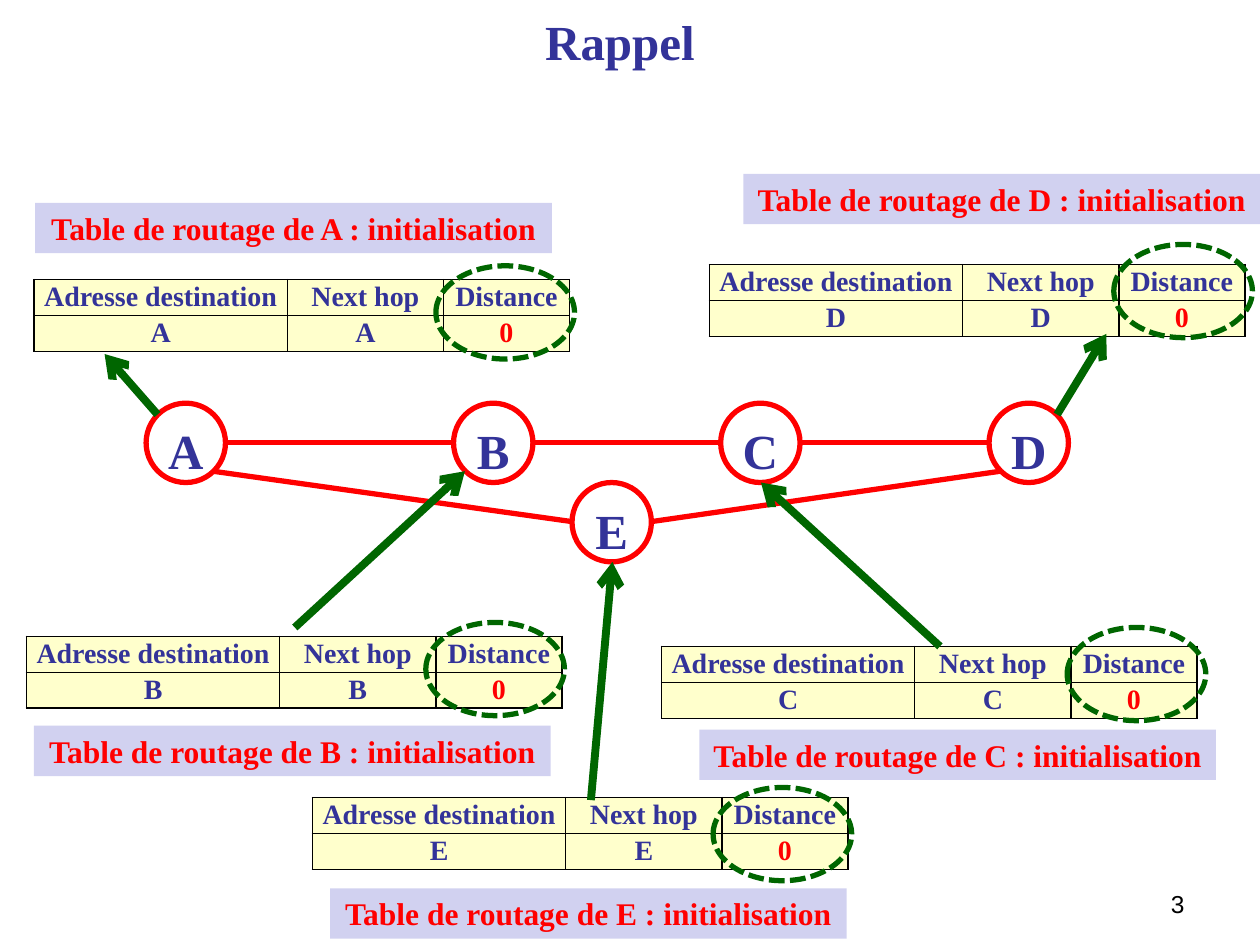
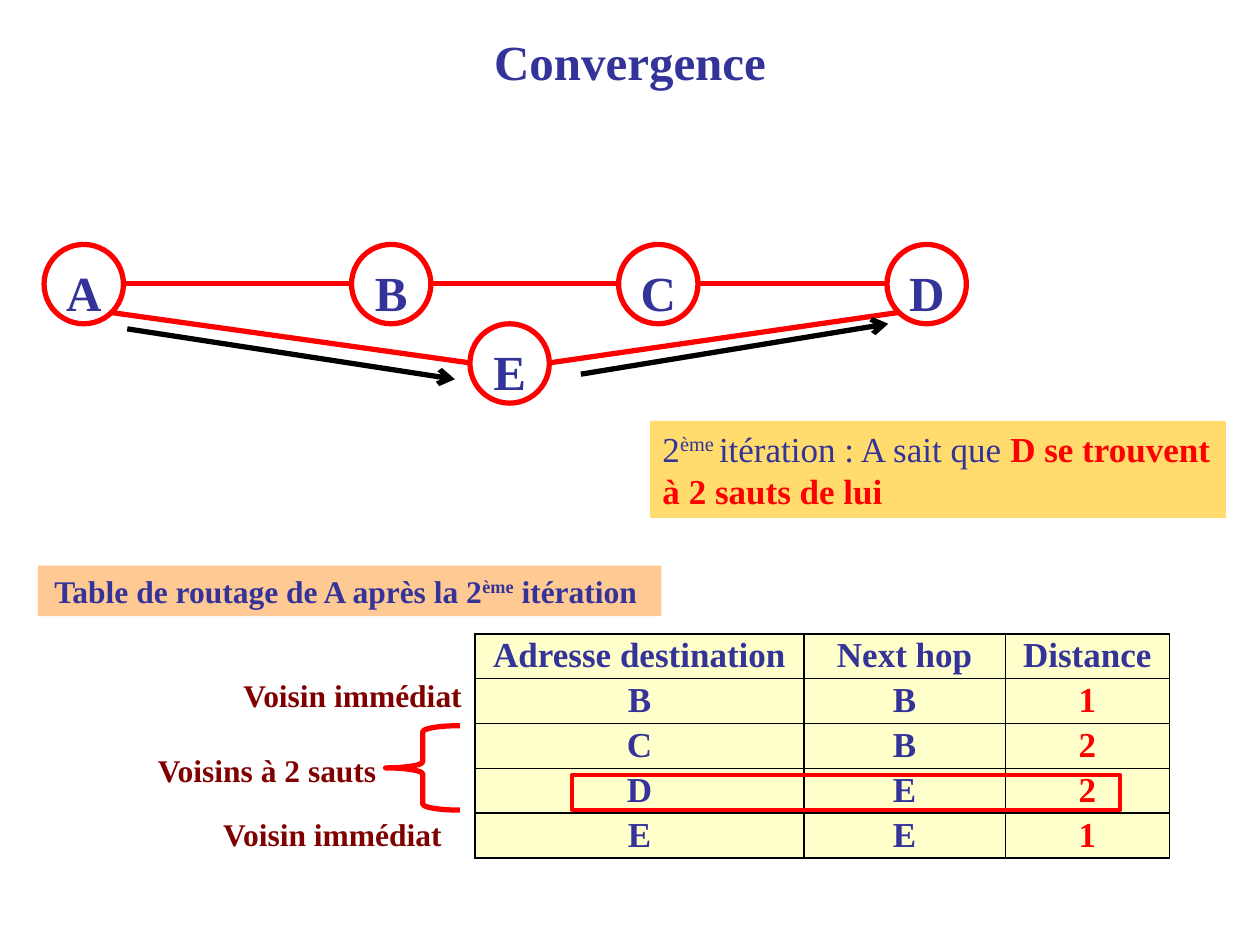
"""Build two slides on distance-vector routing: initial tables and convergence."""
import dataclasses

import pptx
import pptx.dml.color
import pptx.enum.dml
import pptx.enum.shapes
import pptx.enum.text
import pptx.oxml.ns
import pptx.util
from lxml import etree

Inches = pptx.util.Inches
Pt = pptx.util.Pt
SHAPE = pptx.enum.shapes.MSO_SHAPE
ALIGN = pptx.enum.text.PP_ALIGN
qn = pptx.oxml.ns.qn


@dataclasses.dataclass(frozen=True)
class Theme:
    serif: str = "Times New Roman"
    sans: str = "Arial"
    ink: str = "333399"
    red: str = "FF0000"
    green: str = "006600"
    maroon: str = "800000"
    black: str = "000000"
    cell: str = "FFFFCC"
    lilac: str = "D1D1F0"
    gold: str = "FFDC6D"
    peach: str = "FFC993"
    title_size: float = 28
    note_size: float = 20
    label_size: float = 18
    table_size: float = 16
    number_size: float = 14
    thin: float = 2.25
    line: float = 3
    thick: float = 4.5


def rgb(value):
    return pptx.dml.color.RGBColor.from_string(value)


class Deck:
    def __init__(self, theme):
        self.t = theme
        self.prs = pptx.Presentation()
        self.prs.slide_width, self.prs.slide_height = Inches(10), Inches(7.5)
        self.s = None

    def fill_text(self, tf, runs, align=ALIGN.CENTER, spacing=None, **base):
        p = tf.paragraphs[0]
        p.alignment, p.space_before = align, Pt(0)
        if spacing:
            p.line_spacing = spacing
        for text, change in [(runs, {})] if isinstance(runs, str) else runs:
            fmt = {"name": self.t.serif, "bold": True, "color": self.t.ink, **base, **change}
            color, size, raised = fmt.pop("color"), fmt.pop("size"), fmt.pop("raised", False)
            r = p.add_run()
            r.text = text
            r.font.size = Pt(size)
            r.font.color.rgb = rgb(color)
            for name, value in fmt.items():
                setattr(r.font, name, value)
            if raised:
                r._r.get_or_add_rPr().set("baseline", "30000")

    def slide(self, title, box):
        self.s = self.prs.slides.add_slide(self.prs.slide_layouts[5])
        sp = self.s.shapes.title
        for name, value in zip(("left", "top", "width", "height"), box):
            setattr(sp, name, Inches(value))
        sp.text_frame.auto_size = pptx.enum.text.MSO_AUTO_SIZE.NONE
        sp.text_frame.vertical_anchor = pptx.enum.text.MSO_ANCHOR.MIDDLE
        self.fill_text(sp.text_frame, title, size=self.t.title_size)

    def text(self, box, runs, wrap=True, **fmt):
        sp = self.s.shapes.add_textbox(*map(Inches, box))
        sp.text_frame.word_wrap = wrap
        self.fill_text(sp.text_frame, runs, **fmt)
        return sp

    def label(self, box, runs, fill, wrap=False, **fmt):
        sp = self.text(box, runs, wrap, **fmt)
        sp.fill.solid()
        sp.fill.fore_color.rgb = rgb(fill)

    def outline(self, kind, box, color, width, dash=None):
        sp = self.s.shapes.add_shape(kind, *map(Inches, box))
        sp.shadow.inherit = False
        sp.fill.background()
        sp.line.color.rgb = rgb(color)
        sp.line.width = Pt(width)
        if dash:
            sp.line.dash_style = dash
        return sp

    def ring(self, x, y):
        self.outline(SHAPE.OVAL, (x, y, 1.1, 0.74), self.t.green, self.t.line,
                     pptx.enum.dml.MSO_LINE.SQUARE_DOT)

    def node(self, x, y, name):
        tf = self.outline(SHAPE.OVAL, (x, y, 0.63, 0.63), self.t.red, self.t.line).text_frame
        fmt = {"margin_left": 0, "margin_right": 0, "margin_bottom": 0,
               "margin_top": Inches(0.05), "vertical_anchor": pptx.enum.text.MSO_ANCHOR.TOP}
        for key, value in fmt.items():
            setattr(tf, key, value)
        self.fill_text(tf, name, size=self.t.title_size)

    def line(self, start, end, color, width, arrow=False):
        c = self.s.shapes.add_connector(pptx.enum.shapes.MSO_CONNECTOR.STRAIGHT,
                                        *map(Inches, (*start, *end)))
        c.line.color.rgb = rgb(color)
        c.line.width = Pt(width)
        props = c.element.spPr
        if arrow:
            etree.SubElement(props.find(qn("a:ln")), qn("a:tailEnd"), type="arrow")
        etree.SubElement(props, qn("a:effectLst"))

    def network(self, x, y):
        d, mid = 0.63, 0.31
        row = {"A": 0, "B": 2.44, "C": 4.56, "D": 6.69}
        for name, dx in row.items():
            self.node(x + dx, y, name)
        self.node(x + 3.38, y + d, "E")
        xs = list(row.values())
        links = [((a + d, mid), (b, mid)) for a, b in zip(xs, xs[1:])]
        links += [((0.53, 0.54), (3.38, 0.94)), ((4.01, 0.94), (6.78, 0.54))]
        for (x1, y1), (x2, y2) in links:
            self.line((x + x1, y + y1), (x + x2, y + y2), self.t.red, self.t.line)

    def cell(self, cell, text, color, size):
        tc = cell._tc.get_or_add_tcPr()
        for side in ("lnL", "lnR", "lnT", "lnB"):
            ln = etree.SubElement(tc, qn(f"a:{side}"), w=str(int(Pt(1))))
            fill = etree.SubElement(ln, qn("a:solidFill"))
            etree.SubElement(fill, qn("a:srgbClr"), val=self.t.black)
        cell.fill.solid()
        cell.fill.fore_color.rgb = rgb(self.t.cell)
        cell.margin_left = cell.margin_right = Inches(0.07)
        cell.margin_top = cell.margin_bottom = 0
        self.fill_text(cell.text_frame, text, spacing=1.07, color=color, size=size)

    def routes(self, x, y, cols, height, rows, size):
        rows = [("Adresse destination", "Next hop", "Distance"), *rows]
        box = map(Inches, (x, y, sum(cols), height))
        table = self.s.shapes.add_table(len(rows), len(cols), *box).table
        for column, width in zip(table.columns, cols):
            column.width = Inches(width)
        for i, row in enumerate(rows):
            table.rows[i].height = Inches(height / len(rows))
            for j, value in enumerate(row):
                color = self.t.red if i and j == 2 else self.t.ink
                self.cell(table.cell(i, j), value, color, size)


def initial_tables(deck):
    t = deck.t
    deck.slide("Rappel", (0.67, 0.05, 8.5, 0.55))
    deck.text((7.17, 7.01, 2.33, 0.28), "3", align=ALIGN.RIGHT,
              name=t.sans, size=t.number_size, color=t.black, bold=False)
    deck.network(1.16, 3.2)
    routers = {
        "A": ((0.27, 2.22), (0.28, 1.61), (3.46, 2.11), (1.25, 3.29), (0.83, 2.81)),
        "B": ((0.21, 5.05), (0.27, 5.76), (3.38, 4.94), (2.34, 4.98), (3.69, 3.74)),
        "C": ((5.25, 5.13), (5.55, 5.79), (8.47, 4.98), (7.46, 5.13), (6.04, 3.83)),
        "D": ((5.63, 2.1), (5.9, 1.38), (8.84, 1.94), (8.39, 3.29), (8.78, 2.65)),
        "E": ((2.48, 6.33), (2.62, 7.05), (5.66, 6.25), (4.69, 6.35), (4.86, 4.46)),
    }
    for name, (table, label, ring, start, end) in routers.items():
        deck.routes(*table, (2.01, 1.24, 1), 0.57, [(name, name, "0")], t.table_size)
        deck.label((*label, 4.1, 0.4), f"Table de routage de {name} : initialisation",
                   t.lilac, size=t.label_size, color=t.red)
        deck.ring(*ring)
        deck.line(start, end, t.green, t.thick, arrow=True)


def convergence(deck):
    t = deck.t
    deck.slide("Convergence", (0.5, 0.22, 9, 0.53))
    deck.network(0.35, 1.94)
    rows = [("B", "B", "1"), ("C", "B", "2"), ("D", "E", "2"), ("E", "E", "1")]
    deck.routes(3.77, 5.03, (2.61, 1.6, 1.3), 1.78, rows, t.note_size)
    brace = deck.outline(SHAPE.LEFT_BRACE, (3.06, 5.76, 0.59, 0.67), t.red, t.line)
    brace.adjustments[0] = 0.083
    for x, y, text in ((1.49, 5.32, "Voisin immédiat "), (0.78, 5.91, "Voisins à 2 sauts"),
                       (1.33, 6.42, "Voisin immédiat ")):
        deck.text((x, y, 2.68, 0.4), text, size=t.label_size, color=t.maroon)
    deck.label((5.16, 3.34, 4.57, 0.77),
               [("2", {}), ("ème ", {"raised": True}), ("itération : A sait que ", {}),
                ("D se trouvent à 2 sauts de lui", {"color": t.red, "bold": True})],
               t.gold, wrap=True, align=ALIGN.LEFT, size=t.note_size, bold=False)
    deck.outline(SHAPE.RECTANGLE, (4.54, 6.15, 4.35, 0.28), t.red, t.thin)
    deck.label((0.3, 4.49, 4.95, 0.4),
               [("Table de routage de A après la 2", {}), ("ème", {"raised": True}),
                (" itération ", {})], t.peach, size=t.label_size)
    for start, end in (((1.01, 2.61), (3.61, 3.01)), ((4.61, 2.97), (7.05, 2.57))):
        deck.line(start, end, t.black, t.line, arrow=True)


def main():
    deck = Deck(Theme())
    initial_tables(deck)
    convergence(deck)
    deck.prs.save("out.pptx")


if __name__ == "__main__":
    main()
